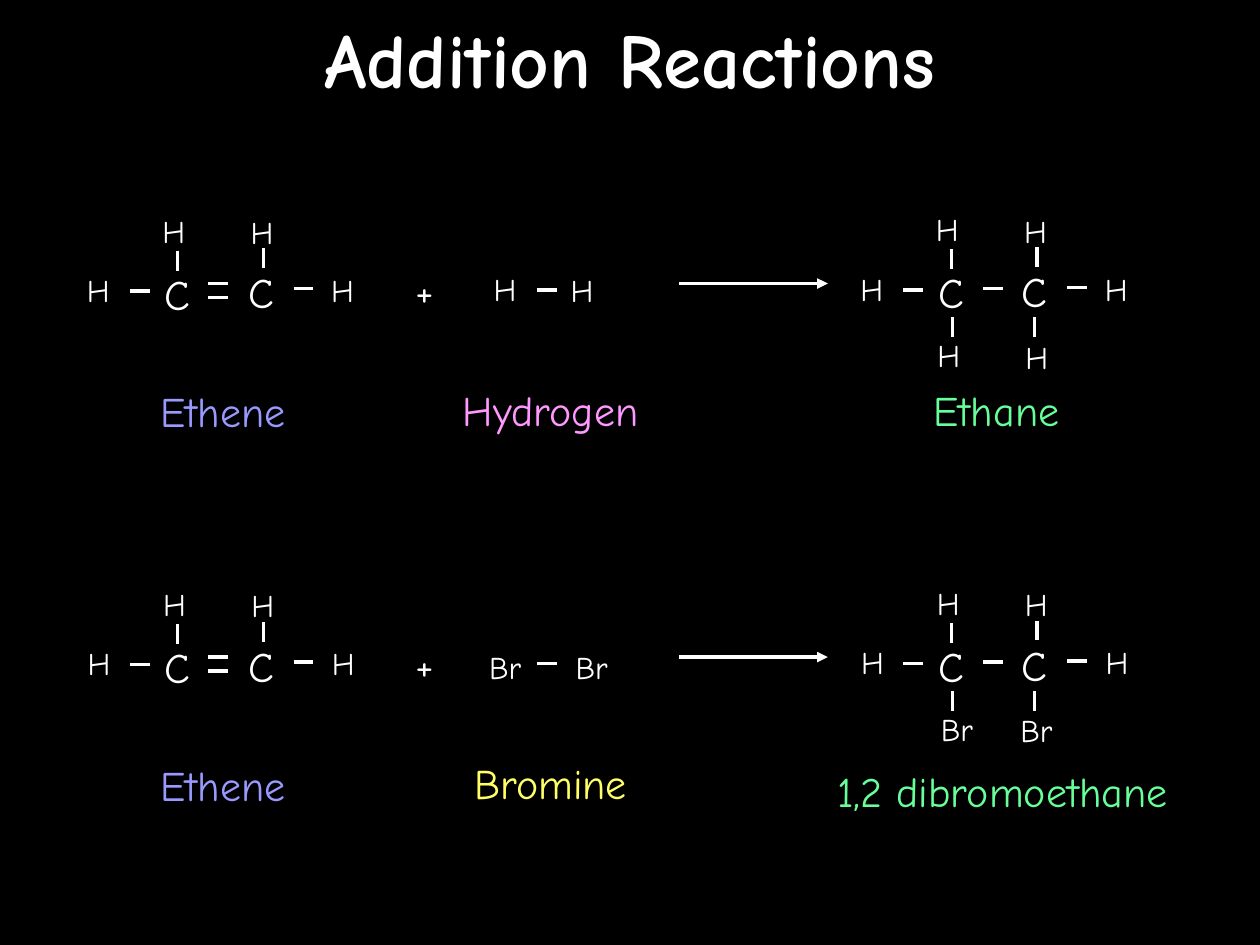
from dataclasses import dataclass

from lxml import etree
from pptx import Presentation
from pptx.dml.color import RGBColor
from pptx.enum.shapes import MSO_CONNECTOR
from pptx.enum.text import MSO_ANCHOR, MSO_AUTO_SIZE, PP_ALIGN
from pptx.oxml.ns import qn
from pptx.util import Inches, Pt

LINE = MSO_CONNECTOR.STRAIGHT
LEFT, MID = PP_ALIGN.LEFT, PP_ALIGN.CENTER
GROW, FIXED = MSO_AUTO_SIZE.SHAPE_TO_FIT_TEXT, MSO_AUTO_SIZE.NONE
MIDDLE = MSO_ANCHOR.MIDDLE

FONT = "Comic Neue"
HEX = {
    "back": "000000", "text": "FFFFFF", "ethene": "9999FF",
    "pink": "FF99FF", "yellow": "FFFF66", "green": "66FF99",
}
WIDE, HIGH = Inches(10), Inches(7.5)
COLS, ROWS = 100, 75
BOND = 1.57
STEP = 29.65
SHIFT = (61.4, -0.1)


@dataclass(frozen=True)
class Atom:
    text: str
    col: float
    row: float
    wide: float = 3.9
    size: int = 18
    ink: str = "text"


@dataclass(frozen=True)
class Bond:
    col: float
    row: float
    down: bool = False


@dataclass(frozen=True)
class Group:
    label: Atom
    atoms: tuple[Atom, ...]
    bonds: tuple[Bond, ...]
    shift: tuple[float, float] = (0, 0)


@dataclass(frozen=True)
class Scheme:
    groups: tuple[Group, ...]
    row: float
    align: PP_ALIGN


def across(col: float) -> int:
    return round(WIDE * col / COLS)


def along(row: float) -> int:
    return round(HIGH * row / ROWS)


def color(ink: str) -> RGBColor:
    return RGBColor.from_string(HEX[ink])


def write(frame, text: str, size: int, ink: str, align: PP_ALIGN, bold: bool = False) -> None:
    frame.word_wrap = True
    line = frame.paragraphs[0]
    line.alignment = align
    run = line.add_run()
    run.text = text
    run.font.name = FONT
    run.font.size = Pt(size)
    run.font.bold = bold
    run.font.color.rgb = color(ink)


def put(shapes, atom: Atom, dx: float, dy: float, align: PP_ALIGN) -> None:
    high = 5 if atom.size == 24 else 4
    box = shapes.add_textbox(across(atom.col + dx), along(atom.row + dy),
                             across(atom.wide), along(high))
    write(box.text_frame, atom.text, atom.size, atom.ink, align)
    box.text_frame.auto_size = GROW


def stroke(shapes, col: float, row: float, wide: float, high: float, head: bool = False) -> None:
    line = shapes.add_connector(LINE, across(col), along(row),
                                across(col + wide), along(row + high))
    line.line.color.rgb = color("text")
    line.line.width = Pt(2)
    props = line._element.spPr
    if head:
        etree.SubElement(props.find(qn("a:ln")), qn("a:tailEnd"), type="triangle")
    etree.SubElement(props, qn("a:effectLst"))


def draw(shapes, group: Group, row: float, align: PP_ALIGN) -> None:
    inner = shapes.add_group_shape().shapes
    dx, dy = group.shift[0], group.shift[1] + row
    put(inner, group.label, dx, dy, MID)
    for atom in group.atoms:
        put(inner, atom, dx, dy, align)
    for bond in group.bonds:
        wide, high = (0, BOND) if bond.down else (BOND, 0)
        stroke(inner, bond.col + dx, bond.row + dy, wide, high)


def name(text: str, col: float, row: float, ink: str, wide: float = 23.6) -> Atom:
    return Atom(text, col, row, wide, 24, ink)


CORE = (
    Atom("H", 25.3, 21), Atom("H", 11.9, 16.3), Atom("C", 12.1, 20.8, size=24),
    Atom("C", 18.7, 20.7, size=24), Atom("H", 18.9, 16.4), Atom("H", 5.9, 21),
)
ARMS = (Bond(20.9, 19.7, True), Bond(10.3, 23.1), Bond(14.1, 19.9, True), Bond(23.3, 22.9))
DOUBLE = ARMS + (Bond(16.5, 22.5), Bond(16.5, 23.6))
SINGLE = ARMS + (Bond(16.6, 23), Bond(14.2, 25.3, True), Bond(20.7, 25.3, True))
LINK = (Bond(42.6, 23),)

ETHENE = Group(name("Ethene", 5.9, 30.1, "ethene"), CORE, DOUBLE)
HYDRO = Group(name("Hydrogen", 31.9, 30, "pink"),
              (Atom("H", 44.3, 21), Atom("H", 38.2, 20.9)), LINK)
BROMINE = Group(name("Bromine", 31.9, 30, "yellow"),
                (Atom("Br", 44.5, 21.25, 4.9), Atom("Br", 37.4, 21.25, 5.4)), LINK)
ETHANE = Group(name("Ethane", 5.9, 30.1, "green"),
               CORE + (Atom("H", 12, 26.3), Atom("H", 19, 26.4)), SINGLE, SHIFT)
DIBROMO = Group(name("1,2 dibromoethane", 2, 30.75, "green", 32.3),
                CORE + (Atom("Br", 10.6, 26.3, 7.9), Atom("Br", 17.7, 26.4, 6.3)), SINGLE, SHIFT)
PLUS = Atom("+", 32, 20.5, 4.8, 24)

SCHEMES = (
    Scheme((ETHENE, HYDRO, ETHANE), 0, LEFT),
    Scheme((ETHENE, BROMINE, DIBROMO), STEP, MID),
)


def main() -> None:
    deck = Presentation()
    deck.slide_width, deck.slide_height = WIDE, HIGH
    slide = deck.slides.add_slide(deck.slide_layouts[5])
    slide.background.fill.solid()
    slide.background.fill.fore_color.rgb = color("back")

    title = slide.shapes.title
    title.left, title.top = 0, 0
    title.width, title.height = WIDE, along(9.1)
    title.text_frame.vertical_anchor = MIDDLE
    title.text_frame.auto_size = FIXED
    write(title.text_frame, "Addition Reactions", 44, "text", MID, True)

    for scheme in SCHEMES:
        for group in scheme.groups:
            draw(slide.shapes, group, scheme.row, scheme.align)
        put(slide.shapes, PLUS, 0, scheme.row, LEFT)
        stroke(slide.shapes, 53.9, 22.5 + scheme.row, 11.8, 0, True)
    deck.save("out.pptx")


if __name__ == "__main__":
    main()
